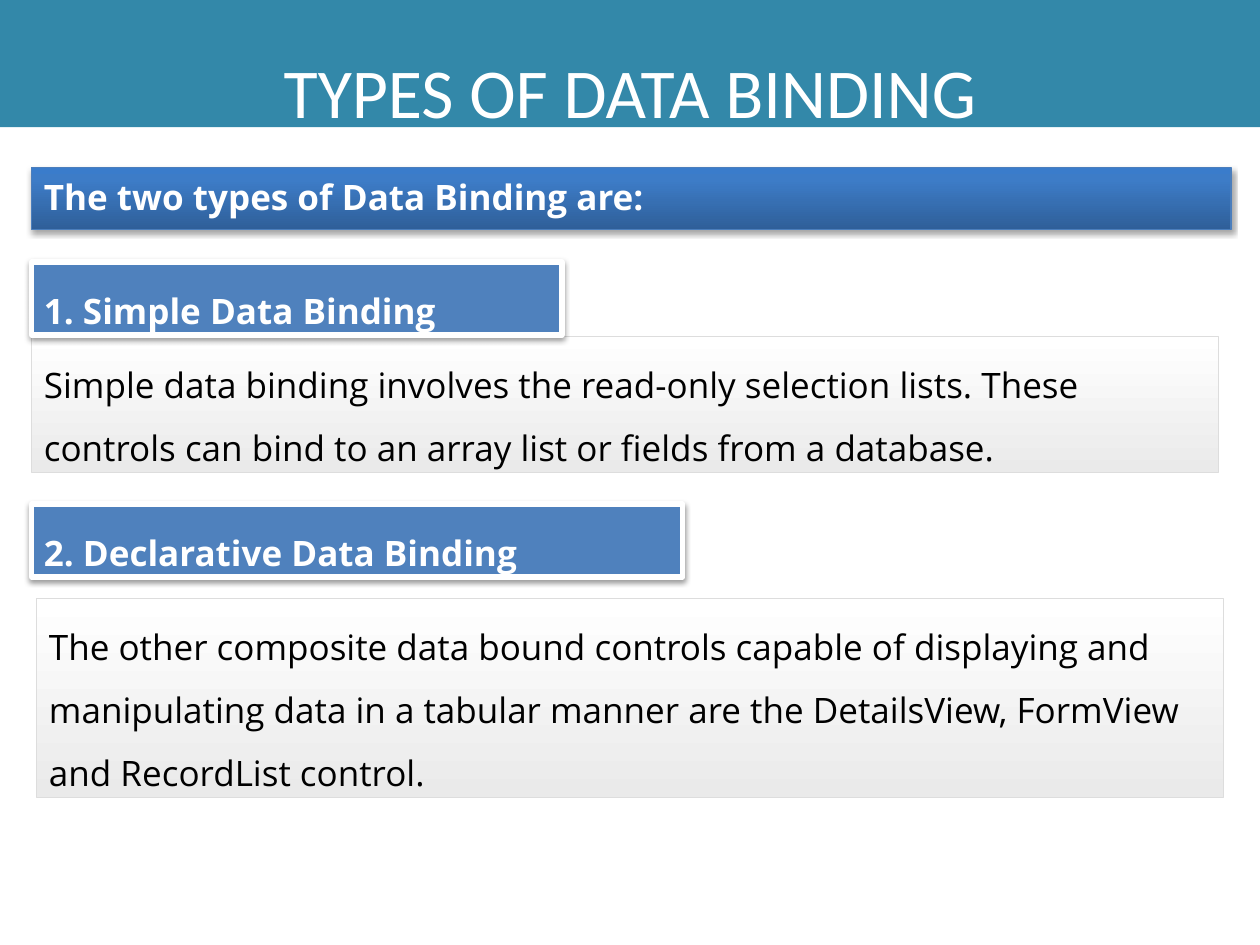
"""Build the slide on the two types of data binding."""
from copy import deepcopy
from dataclasses import dataclass
from typing import Optional

from pptx import Presentation
from pptx.dml.color import RGBColor
from pptx.enum.shapes import MSO_SHAPE
from pptx.enum.text import MSO_ANCHOR, MSO_AUTO_SIZE, PP_ALIGN
from pptx.oxml import parse_xml
from pptx.oxml.ns import nsdecls, qn
from pptx.util import Inches, Pt


@dataclass(frozen=True)
class Theme:
    title_fill: str = "3388A9"
    label_fill: str = "4F81BD"
    white: str = "FFFFFF"
    black: str = "000000"
    banner_line: str = "4B7EBC"
    body_line: str = "DDDDDD"
    banner_stops: tuple = ((0, "2F5F99"), (0.8, "3D7CC7"), (1, "3A7CCB"))
    body_stops: tuple = ((0, "FFFFFF"), (1, "EAEAEA"))
    title_font: str = "Calibri"
    text_font: str = "Open Sans"
    title_size: int = 40
    text_size: int = 20


THEME = Theme()


@dataclass(frozen=True)
class Style:
    line: str
    line_width: float
    color: str
    spacing: float
    fill: Optional[str] = None
    stops: tuple = ()
    angle: int = 0
    bold: bool = False
    before: int = 0
    anchor: MSO_ANCHOR = MSO_ANCHOR.TOP
    shadow: Optional[tuple] = None


@dataclass(frozen=True)
class Box:
    text: str
    left: float
    top: float
    width: float
    height: float
    style: Style


BANNER = Style(THEME.banner_line, 0.75, THEME.white, 0.93, stops=THEME.banner_stops,
               angle=90, bold=True, anchor=MSO_ANCHOR.MIDDLE, shadow=(35, 3.1, 1.8))
BODY = Style(THEME.body_line, 1, THEME.black, 1.5, stops=THEME.body_stops, angle=270)
LABEL = Style(THEME.white, 3, THEME.white, 1.5, fill=THEME.label_fill, bold=True,
              before=8, shadow=(38, 3.1, 1.6))

BOXES = (
    Box("The two types of Data Binding are:", 0.25, 1.33, 9.52, 0.49, BANNER),
    Box("Simple data binding involves the read-only selection lists. These controls "
        "can bind to an array list or fields from a database.",
        0.25, 2.67, 9.42, 1.08, BODY),
    Box("The other composite data bound controls capable of displaying and manipulating "
        "data in a tabular manner are the DetailsView, FormView and RecordList control.",
        0.29, 4.75, 9.42, 1.58, BODY),
    Box("1. Simple Data Binding", 0.25, 2.08, 4.21, 0.58, LABEL),
    Box("2. Declarative Data Binding", 0.25, 4, 5.17, 0.58, LABEL),
)


def set_format(target, values: dict) -> None:
    for name, value in values.items():
        setattr(target, name, value)


def fill_solid(fill, color: str) -> None:
    fill.solid()
    fill.fore_color.rgb = RGBColor.from_string(color)


def fill_gradient(fill, stops: tuple, angle: int) -> None:
    fill.gradient()
    fill.gradient_angle = angle
    gs_list = fill._xPr.find(qn("a:gradFill")).find(qn("a:gsLst"))
    while len(gs_list) < len(stops):
        gs_list.append(deepcopy(gs_list[-1]))
    for gs, (position, color) in zip(fill.gradient_stops, stops):
        gs.position = position
        gs.color.rgb = RGBColor.from_string(color)


def add_shadow(s, alpha: int, blur: float, distance: float) -> None:
    effects = s._element.spPr.find(qn("a:effectLst"))
    effects.append(parse_xml(
        f'<a:outerShdw {nsdecls("a")} blurRad="{Pt(blur)}" dist="{Pt(distance)}" '
        f'dir="5400000" rotWithShape="0"><a:srgbClr val="{THEME.black}">'
        f'<a:alpha val="{alpha * 1000}"/></a:srgbClr></a:outerShdw>'))


def write_text(sp, text: str, frame: dict, paragraph: dict, font: dict, color: str) -> None:
    tf = sp.text_frame
    set_format(tf, {"word_wrap": True, "auto_size": MSO_AUTO_SIZE.NONE, **frame})
    p = tf.paragraphs[0]
    set_format(p, paragraph)
    r = p.add_run()
    r.text = text
    set_format(r.font, font)
    r.font.color.rgb = RGBColor.from_string(color)


def add_title(s, text: str) -> None:
    sp = s.shapes.title
    set_format(sp, {"left": 0, "top": 0, "width": Inches(10), "height": Inches(1.01)})
    fill_solid(sp.fill, THEME.title_fill)
    write_text(sp, text, {"vertical_anchor": MSO_ANCHOR.TOP},
               {"alignment": PP_ALIGN.CENTER, "line_spacing": 1.5},
               {"name": THEME.title_font, "size": Pt(THEME.title_size)}, THEME.white)


def add_box(s, box: Box) -> None:
    style = box.style
    sp = s.shapes.add_shape(MSO_SHAPE.RECTANGLE, Inches(box.left), Inches(box.top),
                            Inches(box.width), Inches(box.height))
    if style.fill:
        fill_solid(sp.fill, style.fill)
    else:
        fill_gradient(sp.fill, style.stops, style.angle)
    fill_solid(sp.line.fill, style.line)
    sp.line.width = Pt(style.line_width)
    sp.shadow.inherit = False
    if style.shadow:
        add_shadow(sp, *style.shadow)
    write_text(sp, box.text, {"vertical_anchor": style.anchor},
               {"alignment": PP_ALIGN.LEFT, "line_spacing": style.spacing,
                "space_before": Pt(style.before)},
               {"name": THEME.text_font, "size": Pt(THEME.text_size), "bold": style.bold},
               style.color)


def main() -> None:
    prs = Presentation()
    set_format(prs, {"slide_width": Inches(10), "slide_height": Inches(7.5)})
    s = prs.slides.add_slide(prs.slide_layouts[5])
    add_title(s, "TYPES OF DATA BINDING")
    for box in BOXES:
        add_box(s, box)
    prs.save("out.pptx")


main()
